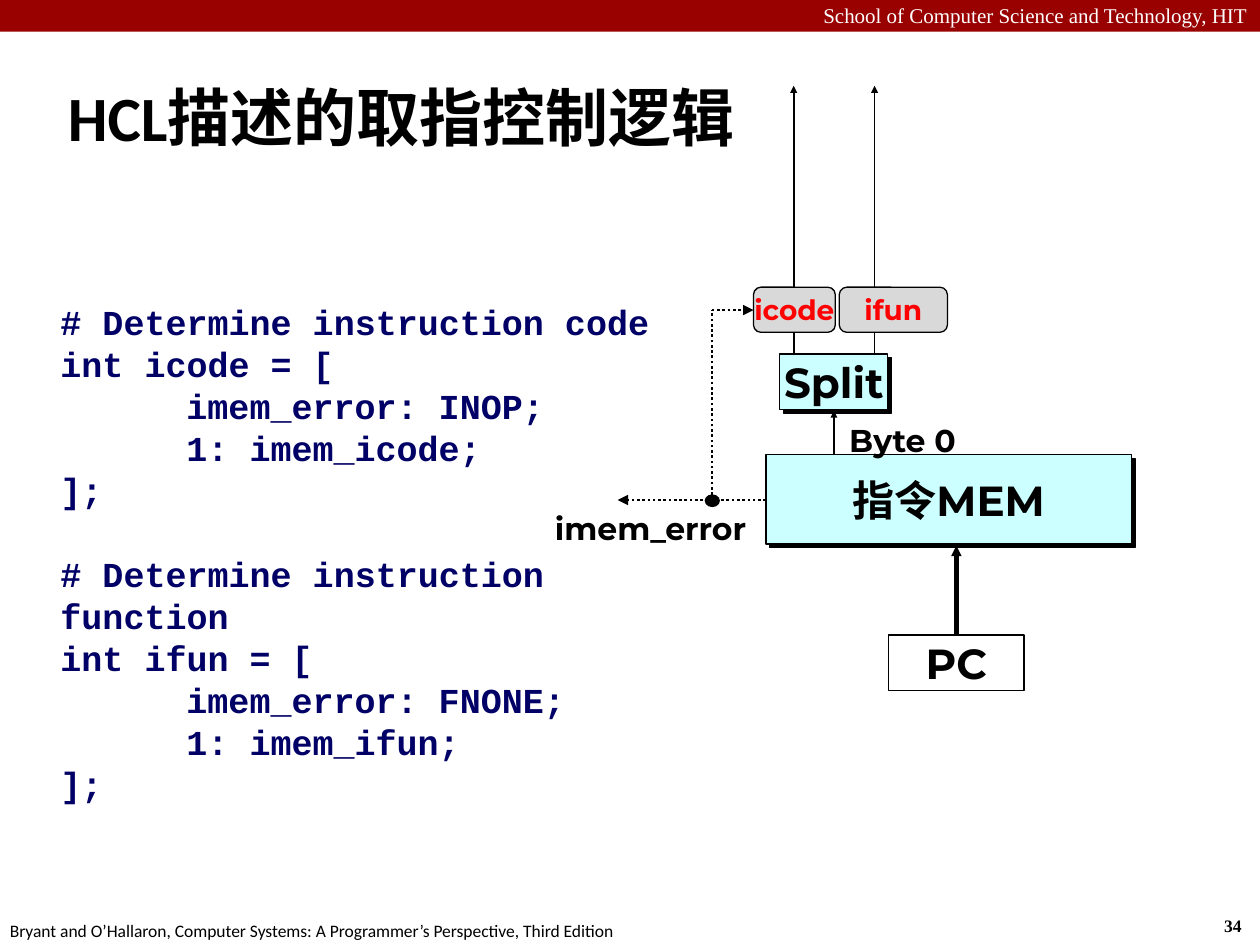
from dataclasses import dataclass

from lxml import etree
from pptx import Presentation
from pptx import util as u
from pptx.dml.color import RGBColor
from pptx.enum import dml, shapes, text
from pptx.oxml import ns


@dataclass(frozen=True)
class Theme:
    black: str = "000000"
    white: str = "FFFFFF"
    banner: str = "990000"
    code: str = "000066"
    unit: str = "CCFFFF"
    field: str = "D9D9D9"
    signal: str = "FF0000"
    title_size: int = 36
    unit_size: int = 24
    code_size: int = 20
    label_size: int = 18
    field_size: int = 16
    header_size: int = 12
    footer_size: int = 10
    sans: str = "Calibri"
    serif: str = "Times New Roman"
    mono: str = "Courier New"
    diagram: str = "Montserrat"


THEME = Theme()
LEFT, CENTER, RIGHT = (text.PP_ALIGN.LEFT, text.PP_ALIGN.CENTER,
                       text.PP_ALIGN.RIGHT)
TOP, MIDDLE = text.MSO_ANCHOR.TOP, text.MSO_ANCHOR.MIDDLE
RECT = shapes.MSO_SHAPE.RECTANGLE
ROUNDED = shapes.MSO_SHAPE.ROUNDED_RECTANGLE
OVAL = shapes.MSO_SHAPE.OVAL


def add_node(parent, tag, **attributes):
    node = etree.SubElement(parent, ns.qn(tag))
    for name, value in attributes.items():
        node.set(name, str(value))
    return node


def write(box, content, *, size, font=THEME.diagram, color=THEME.black,
          bold=True, align=LEFT, anchor=TOP, wrap=False, inset=(0.25, 0.13),
          pitch=None, gap_before=(), tab=None):
    """Fill a box, one paragraph a line; gap_before lists lines set one pitch lower."""
    frame = box.text_frame
    frame.word_wrap = wrap
    frame.vertical_anchor = anchor
    frame.margin_left = frame.margin_right = u.Cm(inset[0])
    frame.margin_top = frame.margin_bottom = u.Cm(inset[1])
    for index, line in enumerate(content.split("\n")):
        para = frame.add_paragraph() if index else frame.paragraphs[0]
        if tab:
            stops = add_node(para._p.get_or_add_pPr(), "a:tabLst")
            add_node(stops, "a:tab", pos=u.Cm(tab), algn="l")
        para.alignment = align
        if pitch:
            para.line_spacing = u.Pt(pitch)
        if index in gap_before:
            para.space_before = u.Pt(pitch)
        span = para.add_run()
        span.text = line
        span.font.name = font
        span.font.size = u.Pt(size)
        span.font.bold = bold
        span.font.color.rgb = RGBColor.from_string(color)


class Painter:
    """Holds the theme and the page being drawn; lengths are in centimetres."""

    def __init__(self, page, theme):
        self.page = page
        self.theme = theme

    def label(self, place, content, **style):
        box = self.page.shapes.add_textbox(*map(u.Cm, place))
        write(box, content, **style)

    def block(self, place, fill, content=None, *, kind=RECT, line=0.75,
              raised=False, size=THEME.unit_size, color=THEME.black):
        box = self.page.shapes.add_shape(kind, *map(u.Cm, place))
        box.fill.solid()
        box.fill.fore_color.rgb = RGBColor.from_string(fill)
        if line:
            box.line.width = u.Pt(line)
            box.line.color.rgb = RGBColor.from_string(self.theme.black)
        else:
            box.line.fill.background()
        box.shadow.inherit = False
        if raised:
            effects = box._element.spPr.find(ns.qn("a:effectLst"))
            shadow = add_node(effects, "a:outerShdw", blurRad=0,
                              dist=u.Pt(2.8), dir=45 * 60000, algn="ctr",
                              rotWithShape=0)
            add_node(shadow, "a:srgbClr", val=self.theme.black)
        if content:
            write(box, content, size=size, color=color, align=CENTER,
                  anchor=MIDDLE)

    def wire(self, start, end, *, width=1, dotted=False, arrow=True):
        wire = self.page.shapes.add_connector(
            shapes.MSO_CONNECTOR.STRAIGHT, *map(u.Cm, (*start, *end)))
        wire.line.width = u.Pt(width)
        wire.line.color.rgb = RGBColor.from_string(self.theme.black)
        if dotted:
            wire.line.dash_style = dml.MSO_LINE.ROUND_DOT
        if arrow:
            head = "med" if dotted else "sm"
            add_node(wire.line._ln, "a:tailEnd", type="triangle", w=head,
                     len=head)
        add_node(wire._element.spPr, "a:effectLst")


CODE = """# Determine instruction code
int icode = [
\timem_error: INOP;
\t1: imem_icode;
];
# Determine instruction function
int ifun = [
\timem_error: FNONE;
\t1: imem_ifun;
];"""


def draw_frame(painter):
    theme = painter.theme
    painter.block((0, 0, 25.4, 0.64), theme.banner, line=0)
    painter.label((0, -0.08, 25.4, 0.76),
                  "School of Computer Science and Technology, HIT",
                  size=theme.header_size, font=theme.serif, color=theme.white,
                  bold=False, align=RIGHT, wrap=True)
    painter.label((24.43, 18.31, 0.94, 0.69), "34",
                  size=theme.footer_size, font=theme.serif)
    painter.label((-0.05, 18.42, 12.9, 0.69),
                  "Bryant and O’Hallaron, Computer Systems: "
                  "A Programmer’s Perspective, Third Edition",
                  size=theme.footer_size, font=theme.sans, bold=False)
    painter.label((1.12, 0.69, 14.76, 3.33), "HCL描述的取指控制逻辑",
                  size=theme.title_size, font=theme.sans, anchor=MIDDLE,
                  wrap=True)
    painter.label((1.09, 5.92, 13.26, 10.52), CODE, size=theme.code_size,
                  font=theme.mono, color=theme.code, wrap=True,
                  inset=(0.13, 0.13), pitch=24, gap_before=(5,), tab=2.54)


def draw_fetch_stage(painter):
    theme = painter.theme
    memory_left, memory_top = 15.44, 9.17
    split_top, pc_top, pc_x = 7.14, 12.8, 19.28
    error_x, error_y, icode_left, icode_y = 14.35, 10.08, 15.19, 6.25

    painter.block((memory_left, memory_top, 7.37, 1.8), theme.unit, "指令MEM",
                  raised=True)
    painter.wire((pc_x, pc_top), (pc_x, 11), width=3)
    painter.block((17.91, pc_top, 2.74, 1.12), theme.white, "PC", line=1)
    for output_x in (16, 17.63):
        painter.wire((output_x, split_top), (output_x, 1.73))
    painter.block((15.72, split_top, 2.18, 1.12), theme.unit, "Split",
                  raised=True)
    painter.wire((16.81, memory_top), (16.81, 8.28))
    painter.label((16.87, 8.36, 2.77, 1.02), "Byte 0", size=theme.label_size)

    painter.wire((memory_left, error_y), (12.45, error_y), width=1.5,
                 dotted=True)
    painter.label((11.07, error_y, 4.09, 1.12), "imem_error",
                  size=theme.label_size, align=CENTER, anchor=MIDDLE,
                  inset=(0, 0.13))
    painter.wire((error_x, error_y), (error_x, icode_y), width=1.5,
                 dotted=True, arrow=False)
    painter.wire((error_x, icode_y), (icode_left, icode_y), width=1.5,
                 dotted=True)
    painter.block((14.22, 9.98, 0.28, 0.23), theme.black, kind=OVAL)
    for name, left, width in (("icode", icode_left, 1.65),
                              ("ifun", 16.92, 2.18)):
        painter.block((left, 5.79, width, 0.91), theme.field, name,
                      kind=ROUNDED, size=theme.field_size, color=theme.signal)


def main():
    deck = Presentation()
    deck.slide_width, deck.slide_height = u.Cm(25.4), u.Cm(19.05)
    painter = Painter(deck.slides.add_slide(deck.slide_layouts[6]), THEME)
    draw_frame(painter)
    draw_fetch_stage(painter)
    deck.save("out.pptx")


if __name__ == "__main__":
    main()
